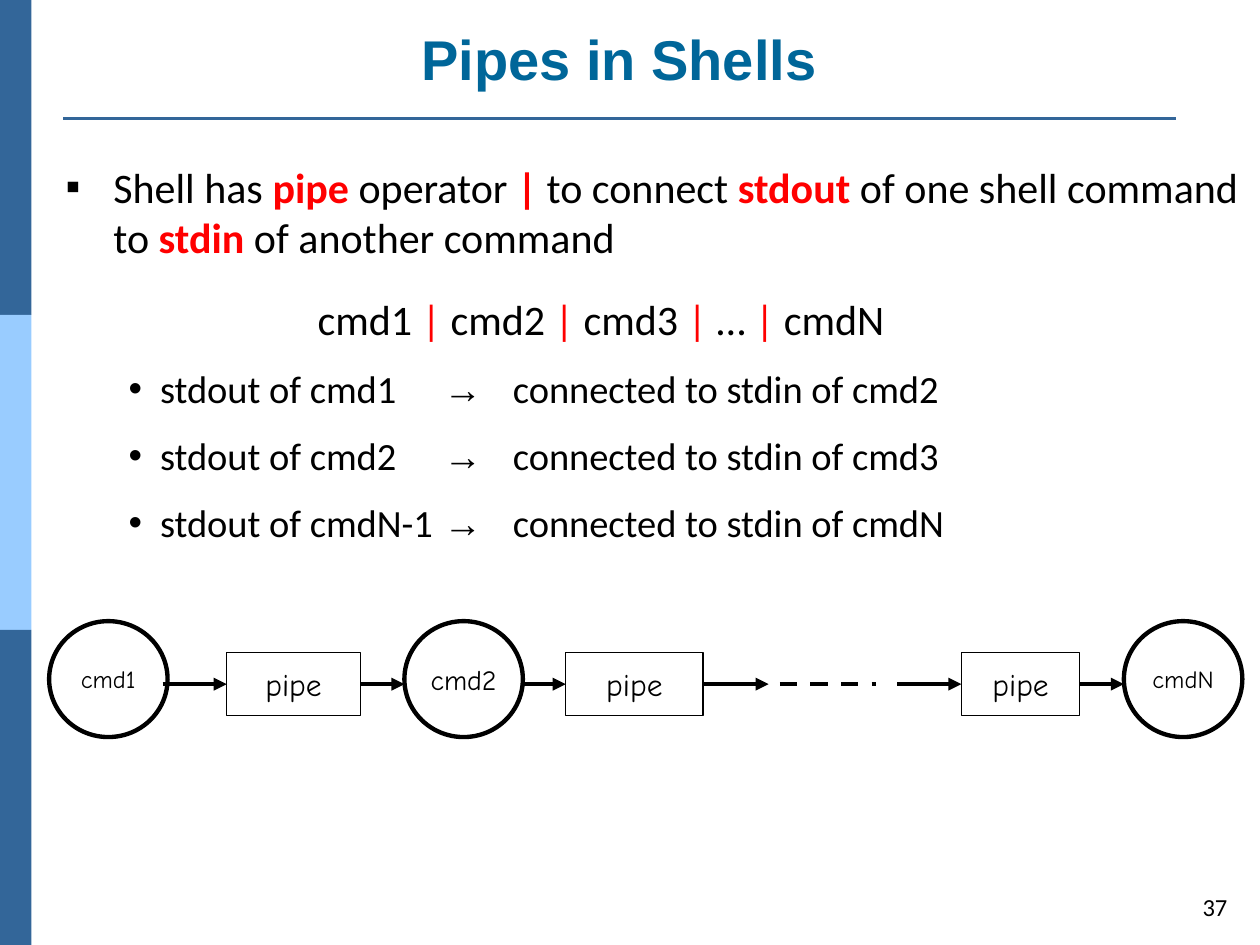
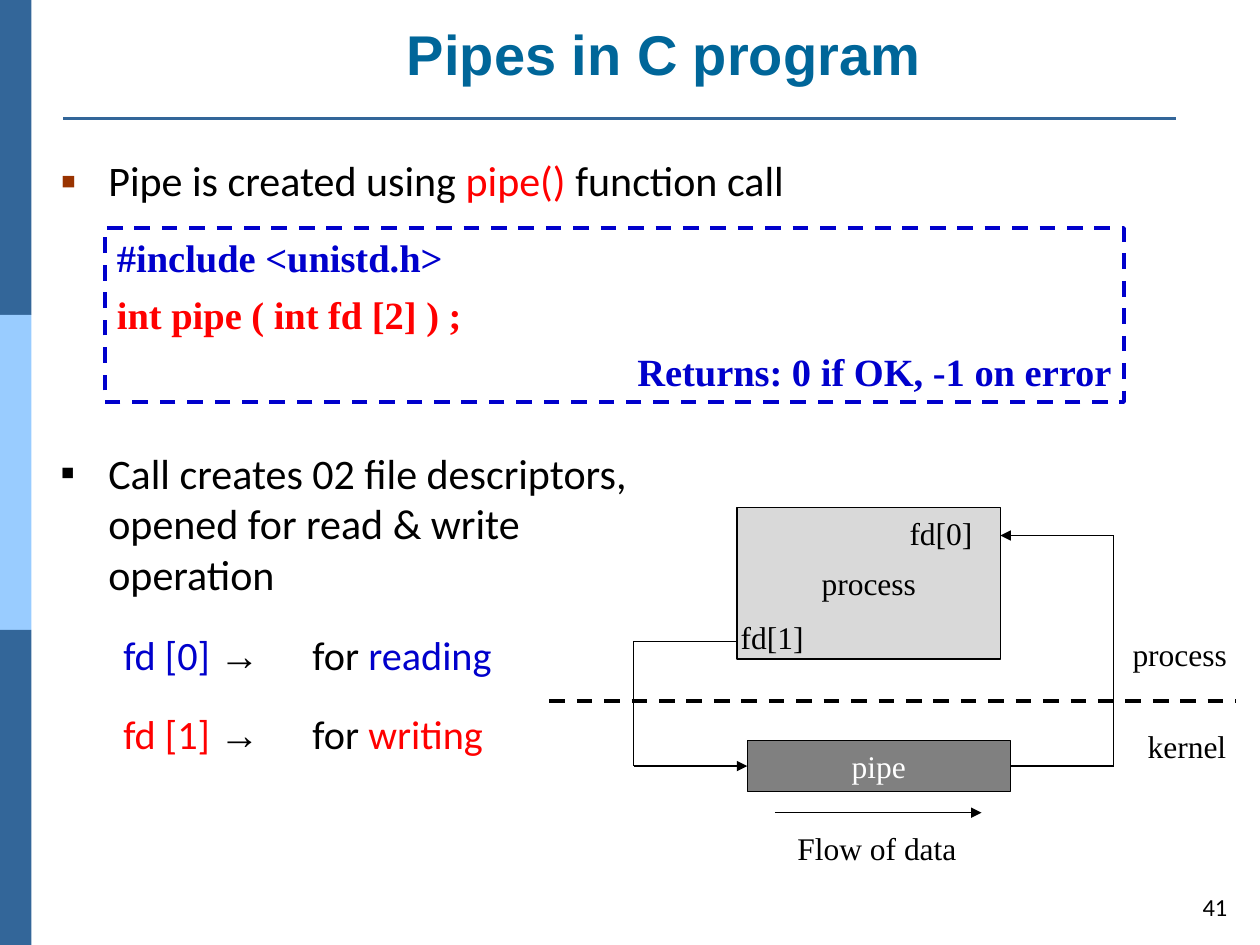
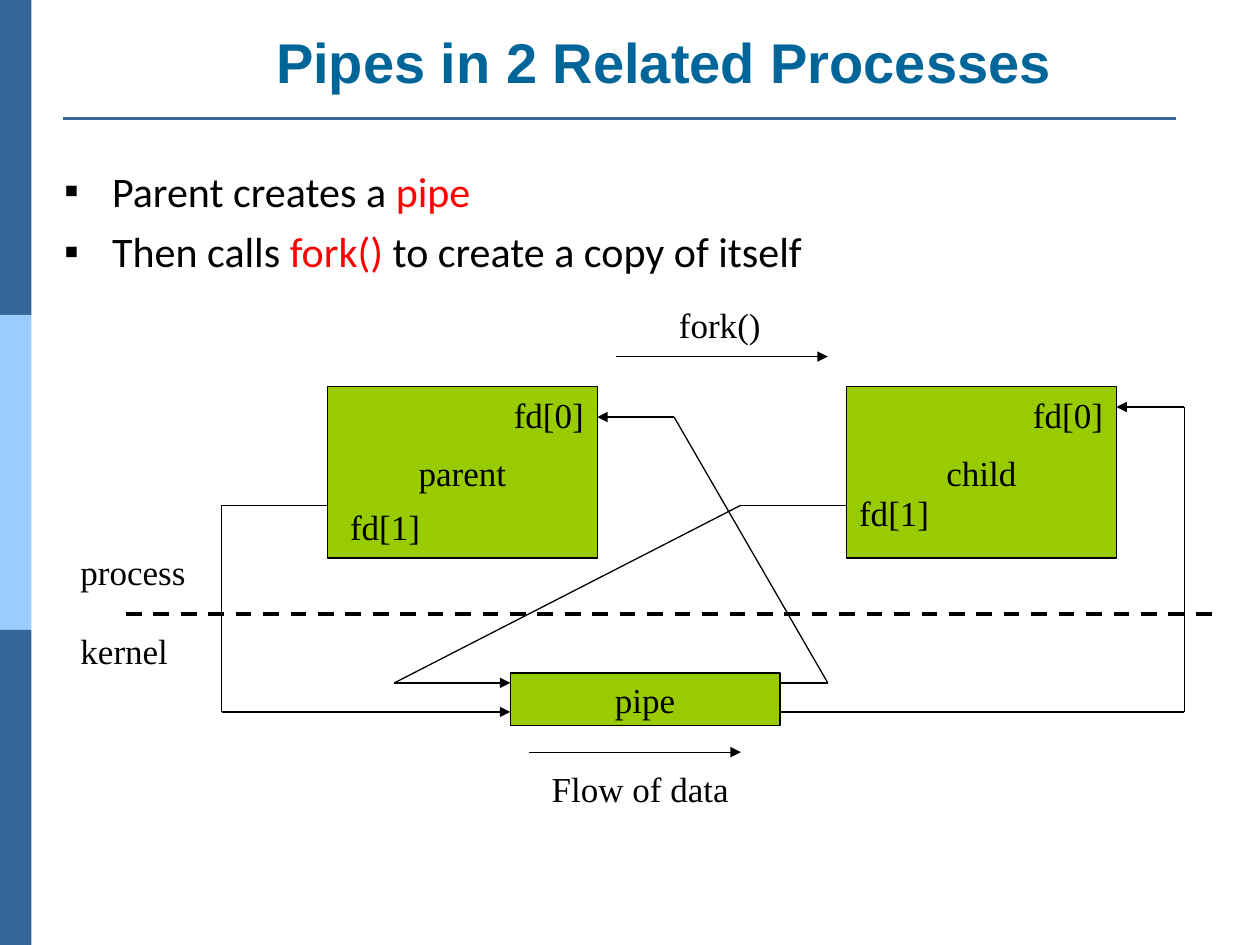
import pptx
import pptx.dml.color
import pptx.enum.dml
import pptx.enum.shapes
import pptx.enum.text
import pptx.oxml.ns
import pptx.oxml.xmlchemy
import pptx.util
import lxml.etree

Inches = pptx.util.Inches
Pt = pptx.util.Pt
qn = pptx.oxml.ns.qn
SHAPE = pptx.enum.shapes.MSO_SHAPE
ALIGN = pptx.enum.text.PP_ALIGN
ANCHOR = pptx.enum.text.MSO_ANCHOR

COLORS = {
    "band": "336699", "light band": "99CCFF", "title": "006699",
    "black": "000000", "white": "FFFFFF", "red": "FF0000", "blue": "0000CC",
    "brown": "993300", "light gray": "D9D9D9", "gray": "808080", "green": "99CC00",
}
TITLE = {"name": "Arial", "size": Pt(32), "bold": True, "color": "title"}
BODY = {"name": "Calibri", "size": Pt(24), "bold": False, "color": "black"}
SUBLIST = BODY | {"size": Pt(22)}
DESCRIPTOR = BODY | {"size": Pt(23)}
NUMBER = BODY | {"size": Pt(14)}
CODE = {"name": "Times New Roman", "size": Pt(22), "bold": True, "color": "blue"}
DIAGRAM = {"name": "Times New Roman", "size": Pt(18), "color": "black"}
NODE = {"name": "Comic Neue", "size": Pt(18), "color": "black"}

RED = {"color": "red"}
BLUE = {"color": "blue"}
STRONG = {"color": "red", "bold": True}
ARROW = ("→", {"name": "Arial"})
SQUARE = {"bullet": "▪", "margin": 0.38, "hanging": 0.38}
DOT = {"bullet": "•", "margin": 0.75, "hanging": 0.25}


def rgb(color):
    return pptx.dml.color.RGBColor.from_string(COLORS[color])


def place(shape, box):
    for side, length in zip(("left", "top", "width", "height"), box):
        setattr(shape, side, Inches(length))


def add_child(parent, tag, **attributes):
    return lxml.etree.SubElement(parent, qn(tag), attributes)


def write_paragraph(paragraph, runs, font, bullet=None, bullet_color="black",
                    bullet_size=100, margin=0, hanging=0, tabs=(), before=0, align=ALIGN.LEFT):
    """Write runs, each a string or a (string, font changes) pair."""
    properties = paragraph._p.get_or_add_pPr()
    properties.set("marL", str(Inches(margin)))
    properties.set("indent", str(-Inches(hanging)))
    if bullet:
        add_child(add_child(properties, "a:buClr"), "a:srgbClr", val=COLORS[bullet_color])
        add_child(properties, "a:buSzPct", val=str(bullet_size * 1000))
        add_child(properties, "a:buChar", char=bullet)
    else:
        add_child(properties, "a:buNone")
    if tabs:
        tab_list = add_child(properties, "a:tabLst")
        for position in tabs:
            add_child(tab_list, "a:tab", pos=str(Inches(position)), algn="l")
    paragraph.space_before = Pt(before)
    paragraph.alignment = align
    for item in runs:
        text, changes = (item, {}) if isinstance(item, str) else item
        run = paragraph.add_run()
        run.text = text
        for name, value in (font | changes).items():
            if name == "color":
                run.font.color.rgb = rgb(value)
            else:
                setattr(run.font, name, value)


def write_text(shape, paragraphs, anchor=ANCHOR.TOP):
    """Fill a shape with (runs, font, paragraph format) entries."""
    frame = shape.text_frame
    frame.word_wrap = True
    frame.auto_size = pptx.enum.text.MSO_AUTO_SIZE.NONE
    frame.vertical_anchor = anchor
    for index, (runs, font, layout) in enumerate(paragraphs):
        paragraph = frame.add_paragraph() if index else frame.paragraphs[0]
        write_paragraph(paragraph, runs, font, **layout)


class Region:
    """Draws on a slide with offsets from a top-left corner."""

    def __init__(self, slide, left=0, top=0, font=DIAGRAM):
        self.shapes, self.left, self.top, self.font = slide.shapes, left, top, font

    def lengths(self, x, y, *size):
        return [Inches(length) for length in (self.left + x, self.top + y, *size)]

    def label(self, text, box, anchor=ANCHOR.TOP, align=ALIGN.LEFT):
        shape = self.shapes.add_textbox(*self.lengths(*box))
        write_text(shape, [([text], self.font, {"align": align})], anchor)

    def box(self, text, box, fill=None, kind=SHAPE.RECTANGLE, border="black", width=0.75, **changes):
        shape = self.shapes.add_shape(kind, *self.lengths(*box))
        shape.shadow.inherit = False
        if fill:
            shape.fill.solid()
            shape.fill.fore_color.rgb = rgb(fill)
        else:
            shape.fill.background()
        if border:
            shape.line.color.rgb = rgb(border)
            shape.line.width = Pt(width)
        else:
            shape.line.fill.background()
        if text:
            write_text(shape, [([text], self.font | changes, {"align": ALIGN.CENTER})], ANCHOR.MIDDLE)
        return shape

    def line(self, start, end, width=0.75, color="black", dashed=False, arrow=False):
        connector = self.shapes.add_connector(
            pptx.enum.shapes.MSO_CONNECTOR.STRAIGHT, *self.lengths(*start), *self.lengths(*end))
        connector.line.color.rgb = rgb(color)
        connector.line.width = Pt(width)
        if dashed:
            connector.line.dash_style = pptx.enum.dml.MSO_LINE.DASH
        properties = connector.element.spPr
        if arrow:
            add_child(properties.find(qn("a:ln")), "a:tailEnd", type="triangle")
        add_child(properties, "a:effectLst")
        return connector

    def route(self, *points):
        """Join the points by lines, the last with an arrowhead."""
        last = len(points) - 2
        return [self.line(start, end, arrow=index == last)
                for index, (start, end) in enumerate(zip(points, points[1:]))]


def add_master_bands(presentation, slide):
    """Draw the side bands and title rule, then move them to the master."""
    region = Region(slide)
    parts = [region.box(None, (0, 2.5 * index, 0.25, 2.5), color, border=None)
             for index, color in enumerate(("band", "light band", "band"))]
    parts.append(region.line((0.5, 0.94), (9.33, 0.94), 1.5, "band"))
    tree = presentation.slide_master.shapes.element
    for number, part in enumerate(parts):
        part.element.xpath(".//p:cNvPr")[0].set("id", str(100 + number))
        tree.insert(2 + number, part.element)


def add_slide(presentation, layout, title, title_box, lists, anchor=ANCHOR.BOTTOM, number=None):
    """Add a slide; lists holds a (box, paragraphs) pair for each body placeholder."""
    slide = presentation.slides.add_slide(presentation.slide_layouts[layout])
    heading, *bodies = slide.placeholders
    place(heading, title_box)
    write_text(heading, [([title], TITLE, {"align": ALIGN.CENTER})], anchor)
    for body, (box, paragraphs) in zip(bodies, lists):
        place(body, box)
        write_text(body, paragraphs)
    if number:
        Region(slide, font=NUMBER).label(number, (9.29, 6.99, 0.55, 0.41), ANCHOR.MIDDLE, ALIGN.RIGHT)
    return slide


def draw_pipeline(slide, left, top):
    region = Region(slide, left, top, NODE)
    middle = 0.5

    def command(name, x, size):
        shape = region.box(name, (x, 0, 0.94, 0.92), "white", SHAPE.OVAL, width=2.5, size=Pt(size))
        shape.text_frame.margin_left = shape.text_frame.margin_right = 0

    def pipe(x, width):
        return region.box("pipe", (x, middle - 0.25, width, 0.5), "white")

    command("cmd1", 0, 14)
    command("cmd2", 2.82, 16)
    command("cmdN", 8.53, 14)
    first, second, last = pipe(1.41, 1.06), pipe(4.1, 1.09), pipe(7.24, 0.94)
    arrows = [
        (0.9, 1.41, None, first), (2.47, 2.82, first, None), (3.76, 4.1, None, second),
        (5.19, 5.71, second, None), (6.73, 7.24, None, last), (8.18, 8.53, last, None),
    ]
    for start, end, source, target in arrows:
        connector = region.line((start, middle), (end, middle), 2.5, arrow=True)
        if source:
            connector.begin_connect(source, 3)
        if target:
            connector.end_connect(target, 1)
    region.line((5.8, middle), (6.56, middle), 2.5, dashed=True)


def draw_code(slide, left, top):
    shape = Region(slide, left, top).box(None, (0, 0, 8.09, 1.38), border="blue", width=2.25)
    shape.line.dash_style = pptx.enum.dml.MSO_LINE.DASH
    write_text(shape, [
        (["#include <unistd.h>"], CODE, {}),
        (["int pipe ( int fd [2] ) ;"], CODE | RED, {"before": 6}),
        (["Returns: 0 if OK, -1 on error"], CODE, {"before": 6, "align": ALIGN.RIGHT}),
    ])


def draw_single_process(slide, left, top):
    region = Region(slide, left, top)
    region.box("process", (1.49, 0, 2.09, 1.2), "light gray")
    region.label("fd[0]", (2.76, 0, 0.89, 0.37))
    region.label("fd[1]", (1.42, 0.83, 0.82, 0.37))
    region.line((0, 1.53), (5.45, 1.53), 2.25, dashed=True)
    region.label("process", (4.53, 0.96, 0.97, 0.37))
    region.label("kernel", (4.65, 1.69, 0.89, 0.4))
    pipe = region.box("pipe", (1.57, 1.85, 2.09, 0.4), "gray", color="white")
    write = region.route((1.49, 1.06), (0.67, 1.06), (0.67, 2.05), (1.57, 2.05))
    write[-1].end_connect(pipe, 1)
    read = region.route((3.66, 2.05), (4.48, 2.05), (4.48, 0.22), (3.58, 0.22))
    read[0].begin_connect(pipe, 3)
    region.route((1.79, 2.42), (3.43, 2.42))
    region.label("Flow of data", (1.87, 2.5, 1.79, 0.37))


def draw_related_processes(slide, left, top):
    region = Region(slide, left, top, DIAGRAM | {"size": Pt(20)})
    for name, x, write_x, write_y in (("parent", 2.06, 2.14, 1.6), ("child", 6.18, 6.18, 1.49)):
        region.box(name, (x, 0.71, 2.14, 1.36), "green")
        region.label("fd[0]", (x + 1.38, 0.71, 0.76, 0.41))
        region.label("fd[1]", (write_x, write_y, 0.76, 0.41))
    region.line((0.46, 2.51), (9.16, 2.51), 2.25, dashed=True)
    region.label("process", (0, 1.96, 1.45, 0.41))
    region.label("kernel", (0, 2.59, 1.45, 0.41))
    region.box("pipe", (3.51, 2.98, 2.14, 0.42), "green")
    region.route((2.06, 1.65), (1.22, 1.65), (1.22, 3.29), (3.51, 3.29))
    region.route((5.65, 3.06), (6.03, 3.06), (4.81, 0.95), (4.2, 0.95))
    region.route((6.18, 1.65), (5.34, 1.65), (2.59, 3.06), (3.51, 3.06))
    region.route((5.65, 3.29), (8.86, 3.29), (8.86, 0.87), (8.32, 0.87))
    region.route((3.66, 3.61), (5.34, 3.61))
    region.label("Flow of data", (3.74, 3.68, 1.9, 0.41))
    region.route((4.35, 0.47), (6.03, 0.47))
    region.label("fork()", (4.75, 0, 0.9, 0.44))


def add_shell_slide(presentation):
    bar = ("|", RED)
    paragraphs = [
        (["Shell has ", ("pipe", STRONG), " operator ", ("| ", STRONG), "to connect ",
          ("stdout", STRONG), " of one shell command to ", ("stdin", STRONG),
          " of another command"], BODY, SQUARE),
        (["cmd1 ", bar, " cmd2 ", bar, " cmd3 ", bar, " … ", bar, " cmdN"],
         BODY, {"margin": 2, "before": 18}),
    ]
    for source, target in (("cmd1", "cmd2"), ("cmd2", "cmd3"), ("cmdN-1", "cmdN")):
        paragraphs.append(([f"stdout of {source}\t", ARROW, f"\tconnected to stdin of {target}"],
                           SUBLIST, DOT | {"before": 12, "tabs": (3, 3.55)}))
    slide = add_slide(presentation, 1, "Pipes in Shells", (0.33, 0.11, 9.17, 0.7),
                      [((0.42, 1.23, 9.58, 3.12), paragraphs)], ANCHOR.MIDDLE, "37")
    draw_pipeline(slide, 0.39, 4.93)
    return slide


def add_program_slide(presentation):
    creation = [(["Pipe is created using ", ("pipe() ", RED), "function call"], BODY,
                 SQUARE | {"bullet_color": "brown", "bullet_size": 110})]
    descriptors = [(["Call creates 02 file descriptors, opened for read & write operation"], BODY, SQUARE)]
    for index, action, color in ((0, "reading", BLUE), (1, "writing", RED)):
        descriptors.append(([(f"fd [{index}] ", color), ARROW, "\tfor ", (action, color)],
                            DESCRIPTOR, {"margin": 0.5, "before": 18, "tabs": (1.73,)}))
    slide = add_slide(presentation, 3, "Pipes in C program", (1.2, 0.11, 8.14, 0.63),
                      [((0.38, 1.18, 9, 0.63), creation), ((0.38, 3.5, 4.79, 3.12), descriptors)],
                      number="41")
    draw_code(slide, 0.83, 1.81)
    draw_single_process(slide, 4.36, 4.03)


def add_related_slide(presentation):
    steps = [
        (["Parent creates a ", ("pipe", RED)], BODY, SQUARE),
        (["Then calls ", ("fork() ", RED), "to create a copy of itself"], BODY, SQUARE | {"before": 6}),
    ]
    slide = add_slide(presentation, 1, "Pipes in 2 Related Processes", (1.2, 0, 8.14, 0.8),
                      [((0.41, 1.26, 9.33, 1.1), steps)])
    draw_related_processes(slide, 0.54, 2.36)


def main():
    presentation = pptx.Presentation()
    presentation.slide_width, presentation.slide_height = Inches(10), Inches(7.5)
    add_master_bands(presentation, add_shell_slide(presentation))
    add_program_slide(presentation)
    add_related_slide(presentation)
    presentation.save("out.pptx")


if __name__ == "__main__":
    main()
